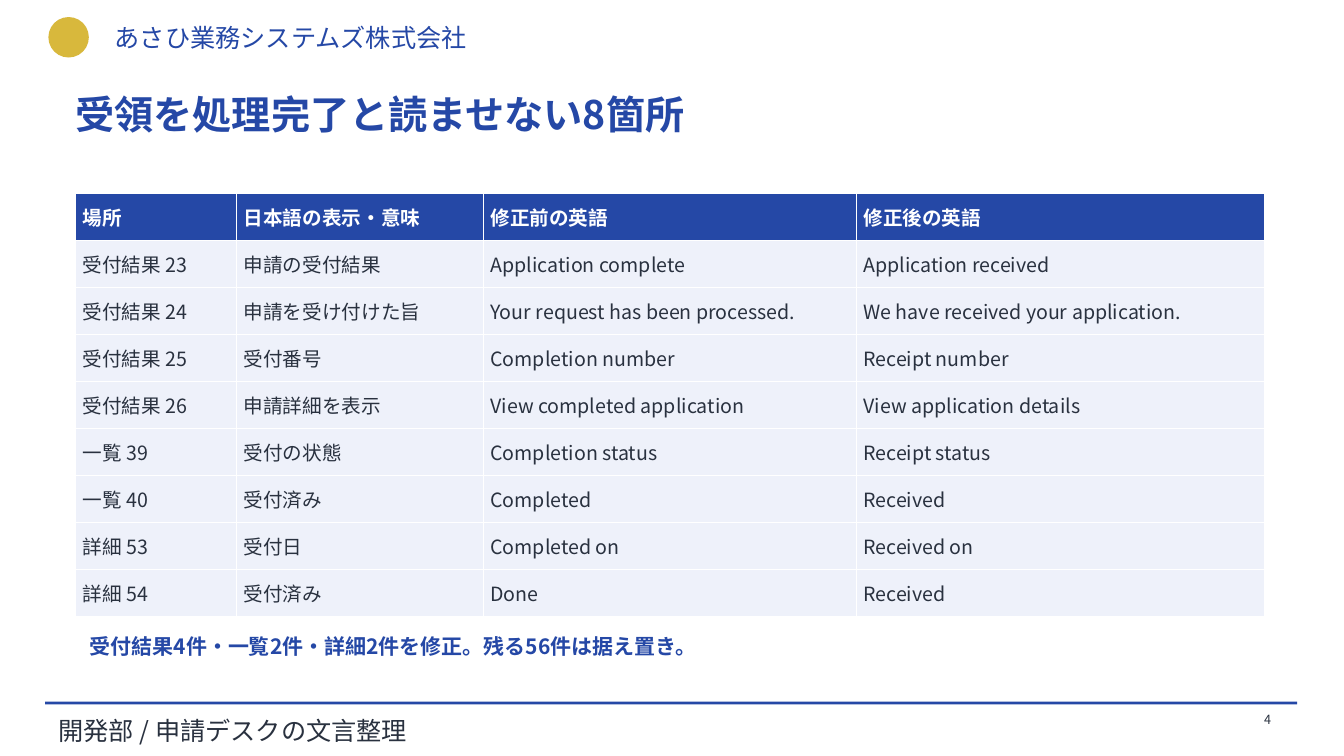
from dataclasses import dataclass

from lxml.etree import SubElement
from pptx import Presentation
from pptx.dml.color import RGBColor
from pptx.enum.shapes import MSO_SHAPE as Preset
from pptx.enum.text import MSO_ANCHOR as Anchor
from pptx.enum.text import MSO_AUTO_SIZE as AutoSize
from pptx.enum.text import PP_ALIGN as Align
from pptx.oxml.ns import qn
from pptx.slide import Slide
from pptx.text.text import _Paragraph as Paragraph
from pptx.util import Cm, Pt


@dataclass(frozen=True)
class Theme:
    font: str = "Noto Sans CJK JP"
    blue: str = "2548A6"
    gold: str = "D8B83C"
    ink: str = "29313F"
    pale: str = "EEF1FA"
    white: str = "FFFFFF"
    title_size: int = 28
    band_size: int = 18
    summary_size: int = 15
    table_size: int = 14
    page_size: int = 9


@dataclass(frozen=True)
class Box:
    left: float
    top: float
    width: float
    height: float

    def lengths(self) -> tuple[Cm, Cm, Cm, Cm]:
        return Cm(self.left), Cm(self.top), Cm(self.width), Cm(self.height)


@dataclass(frozen=True)
class Mark:
    box: Box
    preset: Preset
    color: str


@dataclass(frozen=True)
class Label:
    box: Box
    text: str
    size: int
    color: str
    bold: bool = False
    align: Align = Align.LEFT
    tight: bool = False
    grows: bool = True


@dataclass(frozen=True)
class Revision:
    place: str
    meaning: str
    before: str
    after: str

    def texts(self) -> tuple[str, str, str, str]:
        return self.place, self.meaning, self.before, self.after


THEME = Theme()

MARKS = [
    Mark(Box(1.22, 0.43, 1.02, 1.02), Preset.OVAL, THEME.gold),
    Mark(Box(1.14, 17.68, 31.55, 0.07), Preset.RECTANGLE, THEME.blue),
]

LABELS = [
    Label(Box(2.64, 0.43, 17.78, 0.86), "あさひ業務システムズ株式会社",
          THEME.band_size, THEME.blue),
    Label(Box(1.22, 17.91, 25.4, 0.66), "開発部 / 申請デスクの文言整理",
          THEME.band_size, THEME.ink),
    Label(Box(1.65, 2.16, 30.48, 2.54), "受領を処理完了と読ませない8箇所",
          THEME.title_size, THEME.blue, bold=True, grows=False),
    Label(Box(30.61, 17.86, 1.52, 0.76), "4",
          THEME.page_size, THEME.ink, align=Align.RIGHT, tight=True),
    Label(Box(2.16, 15.88, 29.21, 1.02),
          "受付結果4件・一覧2件・詳細2件を修正。残る56件は据え置き。",
          THEME.summary_size, THEME.blue, bold=True, tight=True),
]

TABLE_BOX = Box(1.9, 4.88, 29.97, 10.67)
COLUMN_WIDTHS = [4.06, 6.22, 9.4, 10.29]
HEADINGS = Revision("場所", "日本語の表示・意味", "修正前の英語", "修正後の英語")
REVISIONS = [
    Revision("受付結果 23", "申請の受付結果", "Application complete", "Application received"),
    Revision("受付結果 24", "申請を受け付けた旨", "Your request has been processed.",
             "We have received your application."),
    Revision("受付結果 25", "受付番号", "Completion number", "Receipt number"),
    Revision("受付結果 26", "申請詳細を表示", "View completed application",
             "View application details"),
    Revision("一覧 39", "受付の状態", "Completion status", "Receipt status"),
    Revision("一覧 40", "受付済み", "Completed", "Received"),
    Revision("詳細 53", "受付日", "Completed on", "Received on"),
    Revision("詳細 54", "受付済み", "Done", "Received"),
]


def style_runs(paragraph: Paragraph, size: int, color: str, bold: bool) -> None:
    for run in paragraph.runs:
        run.font.size = Pt(size)
        run.font.bold = bold
        run.font.color.rgb = RGBColor.from_string(color)
        run.font.name = THEME.font
        SubElement(run.font._element, qn("a:ea"), typeface=THEME.font)


def draw_mark(slide: Slide, mark: Mark) -> None:
    shape = slide.shapes.add_shape(mark.preset, *mark.box.lengths())
    shape.shadow.inherit = False
    shape.fill.solid()
    shape.fill.fore_color.rgb = RGBColor.from_string(mark.color)
    shape.line.fill.background()


def draw_label(slide: Slide, label: Label) -> None:
    frame = slide.shapes.add_textbox(*label.box.lengths()).text_frame
    frame.word_wrap = True
    frame.auto_size = AutoSize.SHAPE_TO_FIT_TEXT if label.grows else AutoSize.NONE
    if label.tight:
        frame.margin_left = frame.margin_right = Cm(0.1)
        frame.margin_top = frame.margin_bottom = Cm(0.08)
    frame.text = label.text
    paragraph = frame.paragraphs[0]
    paragraph.alignment = label.align
    style_runs(paragraph, label.size, label.color, label.bold)


def draw_revisions(slide: Slide) -> None:
    rows = [HEADINGS, *REVISIONS]
    table = slide.shapes.add_table(
        len(rows), len(COLUMN_WIDTHS), *TABLE_BOX.lengths()).table
    table.horz_banding = False
    for column, width in zip(table.columns, COLUMN_WIDTHS):
        column.width = Cm(width)
    for row_index, revision in enumerate(rows):
        heading = row_index == 0
        for column_index, text in enumerate(revision.texts()):
            cell = table.cell(row_index, column_index)
            cell.fill.solid()
            cell.fill.fore_color.rgb = RGBColor.from_string(
                THEME.blue if heading else THEME.pale)
            cell.vertical_anchor = Anchor.MIDDLE
            cell.margin_left, cell.margin_right = Cm(0.18), Cm(0.15)
            cell.margin_top = cell.margin_bottom = Cm(0.08)
            cell.text_frame.text = text
            style_runs(cell.text_frame.paragraphs[0], THEME.table_size,
                       THEME.white if heading else THEME.ink, heading)


def main() -> None:
    deck = Presentation()
    deck.slide_width, deck.slide_height = Cm(33.87), Cm(19.05)
    slide = deck.slides.add_slide(deck.slide_layouts[6])
    for mark in MARKS:
        draw_mark(slide, mark)
    for label in LABELS:
        draw_label(slide, label)
    draw_revisions(slide)
    deck.save("out.pptx")


if __name__ == "__main__":
    main()
